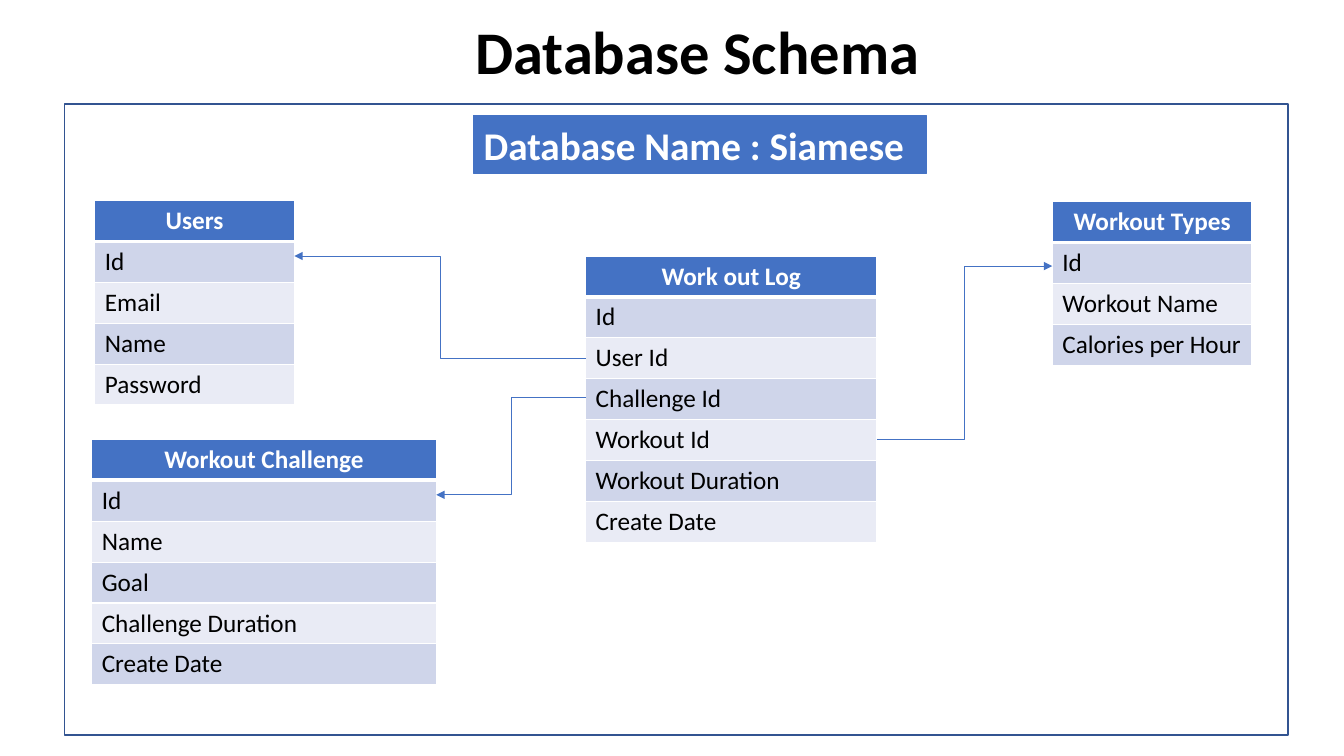
from collections import namedtuple

from lxml import etree
from pptx import Presentation
from pptx.dml.color import RGBColor
from pptx.enum import shapes, text
from pptx.oxml import ns
from pptx.util import Pt

FONT = "Calibri"
BLUE, WHITE, BLACK = "4472C4", "FFFFFF", "000000"
BANDS = ("CFD5EA", "E9EBF5")
ROW_HEIGHT = 29.2

Box = namedtuple("Box", "left top width height")
Entity = namedtuple("Entity", "left top width name fields")

USERS = Entity(67.7, 143.3, 142.6, "Users", ["Id", "Email", "Name", "Password"])
TYPES = Entity(751.7, 144, 142.6, "Workout Types",
               ["Id", "Workout Name", "Calories per Hour"])
LOG = Entity(418.3, 182.9, 208, "Work out Log",
             ["Id", "User Id", "Challenge Id", "Workout Id",
              "Workout Duration", "Create Date"])
CHALLENGE = Entity(65.5, 313.9, 246.2, "Workout Challenge",
                   ["Id", "Name", "Goal", "Challenge Duration", "Create Date"])

# Target entity, height of the line at the log, height at the target
RELATIONS = [(CHALLENGE, 283.7, 353.5), (USERS, 256.3, 182.9), (TYPES, 313.9, 190.1)]


def color(hex_string):
    return RGBColor.from_string(hex_string)


def in_points(*lengths):
    return [Pt(length) for length in lengths]


def style(paragraph, size, hex_string, bold):
    font = paragraph.font
    font.name, font.size, font.bold = FONT, Pt(size), bold
    font.color.rgb = color(hex_string)


def add_title(slide, box):
    title = slide.shapes.title
    title.left, title.top, title.width, title.height = in_points(*box)
    frame = title.text_frame
    frame.text = "\tDatabase Schema"
    frame.word_wrap = True
    frame.auto_size = text.MSO_AUTO_SIZE.NONE
    frame.vertical_anchor = text.MSO_ANCHOR.MIDDLE
    heading = frame.paragraphs[0]
    heading.alignment = text.PP_ALIGN.CENTER
    heading.line_spacing = 0.9
    style(heading, 43.2, BLACK, True)


def set_borders(cell, top, bottom):
    properties = cell._tc.get_or_add_tcPr()
    sides = [("lnL", 1), ("lnR", 1), ("lnT", top), ("lnB", bottom)]
    for position, (side, width) in enumerate(sides):
        line = etree.Element(ns.qn(f"a:{side}"), w=str(Pt(width)))
        fill = etree.SubElement(line, ns.qn("a:solidFill"))
        etree.SubElement(fill, ns.qn("a:srgbClr"), val=WHITE)
        properties.insert(position, line)


def add_entity(slide, entity):
    labels = [entity.name, *entity.fields]
    table = slide.shapes.add_table(
        len(labels), 1,
        *in_points(entity.left, entity.top, entity.width,
                   ROW_HEIGHT * len(labels))).table
    for index, label in enumerate(labels):
        header = index == 0
        table.rows[index].height = Pt(ROW_HEIGHT)
        cell = table.cell(index, 0)
        cell.text = label
        cell.fill.solid()
        cell.fill.fore_color.rgb = color(BLUE if header else BANDS[(index - 1) % 2])
        paragraph = cell.text_frame.paragraphs[0]
        style(paragraph, 18, WHITE if header else BLACK, header)
        if header:
            paragraph.alignment = text.PP_ALIGN.CENTER
        # A thick rule parts the header from the fields
        set_borders(cell, top=3 if index == 1 else 1, bottom=3 if header else 1)


def add_relation(slide, target, start_y, end_y):
    if target.left < LOG.left:
        start_x, end_x = LOG.left, target.left + target.width
    else:
        start_x, end_x = LOG.left + LOG.width, target.left
    relation = slide.shapes.add_connector(
        shapes.MSO_CONNECTOR.ELBOW, *in_points(start_x, start_y, end_x, end_y))
    relation.line.color.rgb = color(BLUE)
    relation.line.width = Pt(0.5)
    etree.SubElement(relation.line._get_or_add_ln(), ns.qn("a:tailEnd"),
                     type="triangle")
    etree.SubElement(relation._element.spPr, ns.qn("a:effectLst"))


def add_rectangle(slide, box, line_color, line_width):
    rectangle = slide.shapes.add_shape(shapes.MSO_SHAPE.RECTANGLE, *in_points(*box))
    rectangle.shadow.inherit = False
    rectangle.fill.background()
    rectangle.line.color.rgb = color(line_color)
    rectangle.line.width = Pt(line_width)
    return rectangle


def add_database_frame(slide, box):
    add_rectangle(slide, box, "325491", 1)

    # Name banner inside the frame
    banner_box = Box(box.left + 292.3, box.top + 8.6, 323.3, 41)
    banner = add_rectangle(slide, banner_box, BLUE, 0.75)
    banner.fill.solid()
    banner.fill.fore_color.rgb = color(BLUE)
    frame = banner.text_frame
    frame.text = "Database Name : Siamese"
    frame.word_wrap = True
    frame.auto_size = text.MSO_AUTO_SIZE.SHAPE_TO_FIT_TEXT
    frame.vertical_anchor = text.MSO_ANCHOR.TOP
    frame.paragraphs[0].alignment = text.PP_ALIGN.LEFT
    style(frame.paragraphs[0], 28, WHITE, True)


def add_schema_slide(deck):
    slide = deck.slides.add_slide(deck.slide_layouts[5])
    add_title(slide, Box(66.2, 11.5, 828, 54.7))
    for entity in (USERS, TYPES, LOG, CHALLENGE):
        add_entity(slide, entity)
    for relation in RELATIONS:
        add_relation(slide, *relation)
    add_database_frame(slide, Box(46.1, 74.2, 874.1, 450.7))


def main():
    deck = Presentation()
    deck.slide_width, deck.slide_height = in_points(960, 540)
    add_schema_slide(deck)
    deck.save("out.pptx")


if __name__ == "__main__":
    main()
